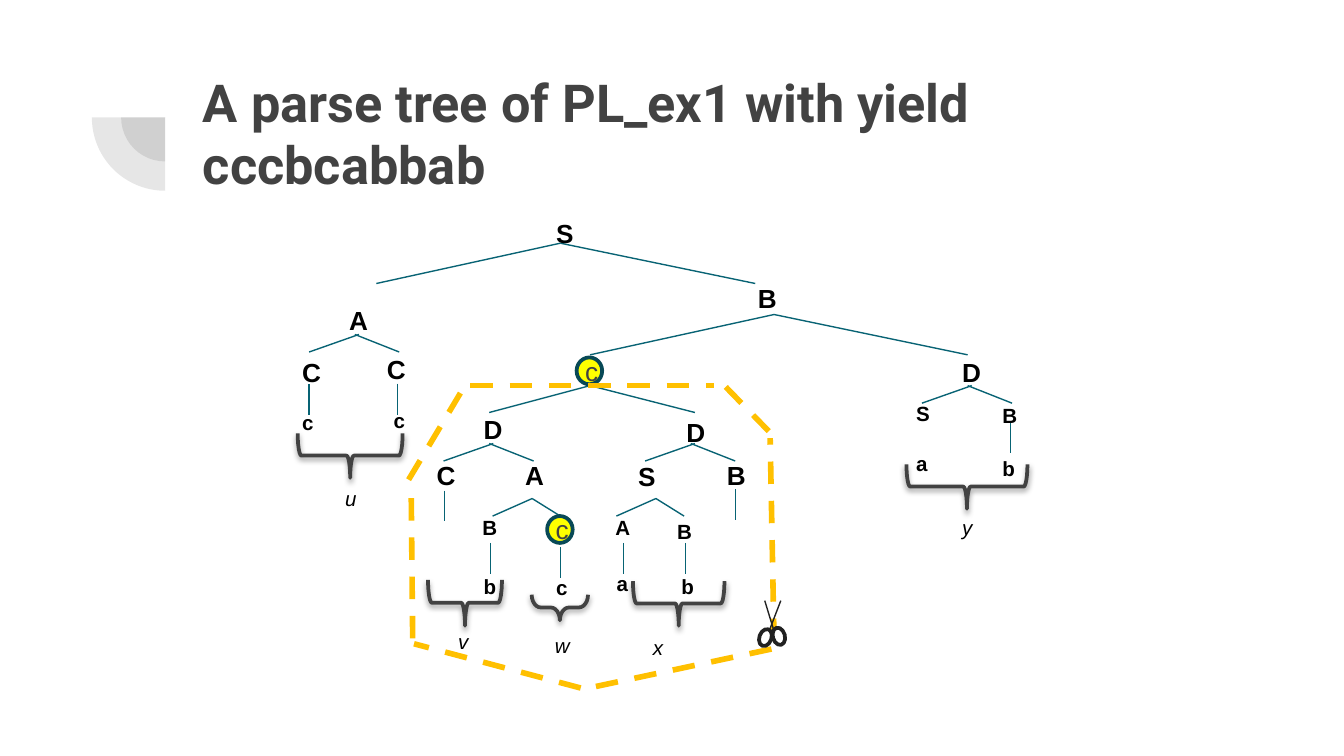
from lxml import etree
from pptx import Presentation
from pptx.dml.color import RGBColor
from pptx.enum.dml import MSO_LINE
from pptx.enum.shapes import MSO_CONNECTOR, MSO_SHAPE
from pptx.enum.text import MSO_ANCHOR, MSO_AUTO_SIZE, PP_ALIGN
from pptx.oxml import parse_xml
from pptx.oxml.ns import nsdecls, qn
from pptx.util import Pt

STRAIGHT = MSO_CONNECTOR.STRAIGHT
DASH = MSO_LINE.DASH
OVAL = MSO_SHAPE.OVAL
BRACE = MSO_SHAPE.RIGHT_BRACE
PIE = MSO_SHAPE.PIE
TOP, MIDDLE = MSO_ANCHOR.TOP, MSO_ANCHOR.MIDDLE
LEFT, CENTER = PP_ALIGN.LEFT, PP_ALIGN.CENTER
NO_AUTO_SIZE = MSO_AUTO_SIZE.NONE

COLORS = {
    "title": "424242", "text": "000000", "edge": "086374", "ring": "084956",
    "yellow": "FFFF00", "cut": "FFC000", "dark": "212121", "white": "FFFFFF",
}
NODE, LEAF = 14, 11
STEM = 16.6
SHADOW = (
    f'<a:effectLst {nsdecls("a")}><a:outerShdw blurRad="39370" dist="20320" '
    'dir="5400000" rotWithShape="0"><a:srgbClr val="000000">'
    '<a:alpha val="38000"/></a:srgbClr></a:outerShdw></a:effectLst>'
)


def color(name):
    return RGBColor.from_string(COLORS[name])


def format_text(shape, text, size, color_name, font="Arial", bold=False,
                italic=False, align=LEFT, anchor=TOP):
    frame = shape.text_frame
    frame.text = text
    frame.word_wrap = True
    frame.vertical_anchor = anchor
    paragraph = frame.paragraphs[0]
    paragraph.alignment = align
    run_font = paragraph.runs[0].font
    run_font.name, run_font.size = font, Pt(size)
    run_font.bold, run_font.italic = bold, italic
    run_font.color.rgb = color(color_name)


class Region:
    """Part of the slide whose drawing methods count from its top left corner."""

    def __init__(self, slide, left, top):
        self.shapes = slide.shapes
        self.left, self.top = left, top

    def line(self, x1, y1, x2, y2, color_name="edge", width=0.75, dash=None):
        connector = self.shapes.add_connector(
            STRAIGHT, Pt(self.left + x1), Pt(self.top + y1),
            Pt(self.left + x2), Pt(self.top + y2))
        connector.line.color.rgb = color(color_name)
        connector.line.width = Pt(width)
        connector.line.dash_style = dash
        etree.SubElement(connector._element.spPr, qn("a:effectLst"))

    def shape(self, kind, x, y, width, height, fill=None, line=None, rotation=0):
        shape = self.shapes.add_shape(
            kind, Pt(self.left + x), Pt(self.top + y), Pt(width), Pt(height))
        shape.shadow.inherit = False
        shape.rotation = rotation
        if fill:
            shape.fill.solid()
            shape.fill.fore_color.rgb = color(fill)
        else:
            shape.fill.background()
        if line:
            shape.line.color.rgb = color(line)
            shape.line.width = Pt(2)
        else:
            shape.line.fill.background()
        return shape

    def labels(self, size, items, italic=False):
        for text, x, y in items:
            box = self.shapes.add_textbox(
                Pt(self.left + x), Pt(self.top + y), Pt(36),
                Pt(24.5 if size == NODE else 20.9))
            format_text(box, text, size, "text", bold=not italic, italic=italic)

    def branch(self, x, y, left=24.5, right=23.8, drop=9.4, overlap=0):
        """Two edges from the apex (x, y) down to the children."""
        self.line(x + overlap, y, x - left, y + drop)
        self.line(x, y, x + right, y + drop)

    def stems(self, *tops):
        for x, y in tops:
            self.line(x, y, x, y + STEM)

    def brace(self, x, y, width, height, curve=None):
        """Downward brace that fills the given box once it is turned."""
        shape = self.shape(BRACE, x + (width - height) / 2,
                           y + (height - width) / 2, height, width,
                           line="title", rotation=90)
        if curve:
            shape.adjustments[0] = curve
        properties = shape._element.spPr
        properties.replace(properties.find(qn("a:effectLst")), parse_xml(SHADOW))

    def circled(self, text, x, y):
        shape = self.shape(OVAL, x, y, 13.7, 14.4, "yellow", "ring")
        format_text(shape, text, NODE, "title", align=CENTER, anchor=MIDDLE)


def draw_ornament(slide, left, top, size):
    region = Region(slide, left, top)
    for diameter in (size * 0.6, size):
        inset = (size - diameter) / 2
        pie = region.shape(PIE, inset, inset, diameter, diameter,
                           fill="title", rotation=270)
        pie.adjustments[0], pie.adjustments[1] = 108, 162
        fill_color = pie._element.spPr.find(qn("a:solidFill"))[0]
        etree.SubElement(fill_color, qn("a:alpha"), val="13000")


def draw_title(slide, left, top, width, height):
    title = slide.shapes.title
    title.left, title.top = Pt(left), Pt(top)
    title.width, title.height = Pt(width), Pt(height)
    format_text(title, "A parse tree of PL_ex1 with yield cccbcabbab", 28,
                "title", font="Roboto", bold=True)
    frame = title.text_frame
    frame.auto_size = NO_AUTO_SIZE
    frame.margin_left = frame.margin_right = Pt(7.2)
    frame.margin_top = frame.margin_bottom = Pt(7.2)


def draw_root(slide, left, top):
    region = Region(slide, left, top)
    region.branch(98.6, 17.3, 98.6, 104.4, 21.6)
    region.branch(213.1, 55.5, 98.6, 103.7, 21.6)
    region.labels(NODE, [("S", 89.3, 0), ("B", 197.3, 34.6)])


def draw_u_subtree(slide, left, top):
    region = Region(slide, left, top)
    region.branch(35.3, 19.4, overlap=2.2)
    region.stems((10.8, 46.1), (58.3, 45.7))
    region.brace(4.7, 72.4, 56.2, 23.8)
    region.labels(NODE, [("A", 25.2, 0), ("C", 0, 27.4), ("C", 45.4, 25.9)])
    region.labels(LEAF, [("c", 0, 56.2), ("c", 49, 55.4)])
    region.labels(LEAF, [("u", 23, 97.2)], italic=True)


def draw_y_subtree(slide, left, top):
    region = Region(slide, left, top)
    region.branch(34.6, 19.4, overlap=2.2)
    region.stems((57.6, 38.9))
    region.brace(1.8, 61.6, 64.8, 23.8)
    region.labels(NODE, [("D", 24.5, 0)])
    region.labels(LEAF, [("S", 0, 23.8), ("B", 46.1, 25.2),
                         ("a", 0, 51.1), ("b", 46.1, 53.3)])
    region.labels(LEAF, [("y", 24.5, 85)], italic=True)


def draw_cut_subtree(slide, left, top):
    """Subtree between the two circled nodes, with the dashed cut around it."""
    region = Region(slide, left, top)
    region.branch(97.2, 15.1, 54, 56.2, 14.4)
    for x in (43.2, 151.2):
        region.branch(x, 46.1, overlap=2.2)
    for x in (66.2, 132.5):
        region.branch(x, 75.6, 21.2, 15.1)
    region.circled("c", 90, 0)
    region.circled("c", 74.2, 85)
    region.stems((19.4, 71.3), (175, 70.6), (81.4, 101.5),
                 (43.9, 99.4), (115.2, 99.4), (148.3, 99.4))
    region.brace(10.4, 119.2, 39.6, 24.5)
    region.brace(65.9, 127.1, 30.2, 13.7, curve=0.36)
    region.brace(120.2, 119.9, 49, 23.8)
    region.labels(NODE, [("D", 33.1, 26.6), ("D", 141.8, 28.1), ("C", 7.9, 51.1),
                         ("A", 55.4, 51.1), ("S", 115.9, 51.8), ("B", 163.4, 51.1)])
    region.labels(LEAF, [("B", 32.4, 80.6), ("A", 103.7, 80.6), ("B", 136.8, 82.8),
                         ("b", 33.1, 112.3), ("c", 72, 113), ("a", 104.4, 110.9),
                         ("b", 139, 112.3)])
    region.labels(LEAF, [("v", 19.4, 141.8), ("w", 71.3, 144), ("x", 123.8, 145.4)],
                  italic=True)
    for ends in [(33.1, 15.1, 163.4, 15.1), (169.9, 15.8, 193.7, 40.3),
                 (195.8, 151.9, 193.7, 43.2), (194.4, 156.2, 96.5, 177.1),
                 (92.2, 177.1, 2.9, 153.4), (2.2, 150.5, 1.4, 71.3),
                 (0, 65.5, 31, 13.7)]:
        region.line(*ends, color_name="cut", width=3, dash=DASH)


def draw_scissors(slide, left, top):
    region = Region(slide, left, top)
    region.line(2.9, 0, 8.6, 18.7, "dark")
    region.line(11.5, 0, 4.3, 18.7, "dark")
    for x, y, rotation in [(7.2, 14.4, 344.6), (0, 15.1, 19.8)]:
        region.shape(OVAL, x, y, 6.5, 9.4, "white", "dark", rotation)


def main():
    presentation = Presentation()
    presentation.slide_width, presentation.slide_height = Pt(720), Pt(405)
    slide = presentation.slides.add_slide(presentation.slide_layouts[5])
    draw_ornament(slide, 49.2, 23.6, 78.6)
    draw_title(slide, 101.5, 30.2, 553.7, 78.5)
    draw_root(slide, 201.6, 113)
    draw_u_subtree(slide, 154.8, 159.8)
    draw_y_subtree(slide, 483.8, 187.2)
    draw_cut_subtree(slide, 218.9, 191.5)
    draw_scissors(slide, 406.8, 321.8)
    presentation.save("out.pptx")


if __name__ == "__main__":
    main()
